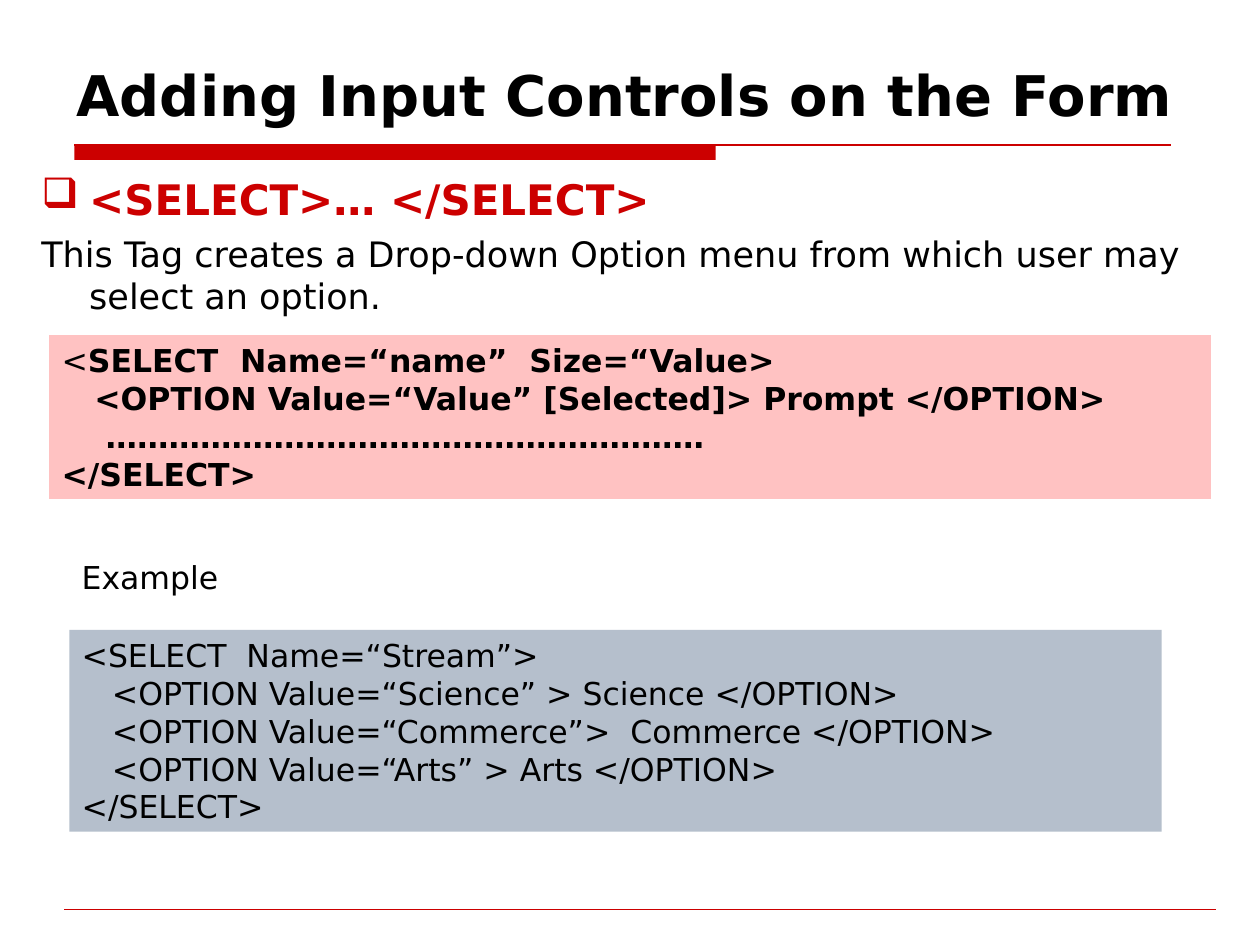
from dataclasses import dataclass
from typing import NamedTuple

from lxml.etree import SubElement
from pptx import Presentation
from pptx.dml.color import RGBColor
from pptx.enum.shapes import MSO_CONNECTOR, MSO_SHAPE
from pptx.enum.text import MSO_ANCHOR, MSO_AUTO_SIZE, PP_ALIGN
from pptx.oxml.ns import qn
from pptx.util import Inches, Pt


@dataclass(frozen=True)
class Theme:
    font: str = "DejaVu Sans"
    ink: str = "000000"
    accent: str = "CC0000"
    syntax_fill: str = "FFC2C2"
    example_fill: str = "B5BFCC"
    title: int = 32
    heading: int = 24
    body: int = 20
    code: int = 18


THEME = Theme()
COLS, ROWS = 100, 75
prs = Presentation()
prs.slide_width, prs.slide_height = Inches(10), Inches(7.5)
COL, ROW = prs.slide_width / COLS, prs.slide_height / ROWS


class Box(NamedTuple):
    """Position and size in grid columns and rows."""
    col: float
    row: float
    cols: float
    rows: float

    def emu(self) -> tuple[int, ...]:
        units = (COL, ROW, COL, ROW)
        return tuple(round(n * unit) for n, unit in zip(self, units))


class Run(NamedTuple):
    text: str
    bold: bool = False


class Para(NamedTuple):
    """A paragraph; indent and hanging are in grid columns."""
    runs: list[Run]
    size: int = THEME.code
    color: str = THEME.ink
    indent: float = 0
    hanging: float = 0
    before: int = 0
    bullet: str = ""


def code(text: str, indent: float = 0, bold: bool = False) -> Para:
    return Para([Run(text, bold)], indent=indent)


def set_attrs(obj, values: dict) -> None:
    for name, value in values.items():
        setattr(obj, name, value)


def add_bullet(p_pr, char: str, color: str) -> None:
    bu_clr = SubElement(p_pr, qn("a:buClr"))
    SubElement(bu_clr, qn("a:srgbClr"), val=color)
    SubElement(p_pr, qn("a:buChar"), char=char)


def write(tf, paras: list[Para], anchor: MSO_ANCHOR, grow: bool) -> None:
    fit = MSO_AUTO_SIZE.SHAPE_TO_FIT_TEXT if grow else MSO_AUTO_SIZE.NONE
    set_attrs(tf, {"word_wrap": True, "vertical_anchor": anchor, "auto_size": fit})
    for i, para in enumerate(paras):
        p = tf.add_paragraph() if i else tf.paragraphs[0]
        set_attrs(p, {"alignment": PP_ALIGN.LEFT, "space_before": Pt(para.before)})
        p_pr = p._p.get_or_add_pPr()
        p_pr.set("marL", str(round(para.indent * COL)))
        p_pr.set("indent", str(round(-para.hanging * COL)))
        if para.bullet:
            add_bullet(p_pr, para.bullet, para.color)
        for run in para.runs:
            r = p.add_run()
            r.text = run.text
            set_attrs(r.font, {"name": THEME.font, "size": Pt(para.size), "bold": run.bold})
            r.font.color.rgb = RGBColor.from_string(para.color)


def add_text(s, box: Box, paras: list[Para], anchor=MSO_ANCHOR.TOP, grow=False) -> None:
    write(s.shapes.add_textbox(*box.emu()).text_frame, paras, anchor, grow)


def add_panel(s, box: Box, fill: str, paras: list[Para] | None = None) -> None:
    sp = s.shapes.add_shape(MSO_SHAPE.RECTANGLE, *box.emu())
    sp.shadow.inherit = False
    sp.fill.solid()
    sp.fill.fore_color.rgb = RGBColor.from_string(fill)
    sp.line.fill.background()
    if paras:
        write(sp.text_frame, paras, MSO_ANCHOR.TOP, grow=True)


def add_rule(s, col: float, row: float, cols: float, weight: float) -> None:
    x, y, w, _ = Box(col, row, cols, 0).emu()
    line = s.shapes.add_connector(MSO_CONNECTOR.STRAIGHT, x, y, x + w, y)
    line.line.color.rgb = RGBColor.from_string(THEME.accent)
    line.line.width = Pt(weight)
    SubElement(line._element.spPr, qn("a:effectLst"))


TITLE = [Para([Run("Adding Input Controls on the Form", True)], THEME.title)]
INTRO = [
    Para([Run("<SELECT>… </SELECT>", True)], THEME.heading, THEME.accent, 3.8, 3.8, 6, "❑"),
    Para([Run("This Tag creates a Drop-down Option menu from which user may select an option.")],
         THEME.body, indent=3.8, hanging=3.8, before=5),
]
SYNTAX = [
    Para([Run("<"), Run("SELECT  Name=“name”  Size=“Value>", True)]),
    code("<OPTION Value=“Value” [Selected]> Prompt </OPTION>", 2.6, True),
    code("…………………………………………………", 3.5, True),
    code("</SELECT>", bold=True),
]
OPTIONS = ["<OPTION Value=“Science” > Science </OPTION>",
           "<OPTION Value=“Commerce”>  Commerce </OPTION>",
           "<OPTION Value=“Arts” > Arts </OPTION>"]
EXAMPLE = [code("<SELECT  Name=“Stream”>"),
           *(code(option, 2.4) for option in OPTIONS),
           code("</SELECT>")]


def main() -> None:
    s = prs.slides.add_slide(prs.slide_layouts[6])
    add_panel(s, Box(5.9, 11.5, 50.9, 1.2), THEME.accent)
    add_rule(s, 5.9, 11.5, 87, 0.75)
    add_rule(s, 5.1, 72.2, 91.4, 0.25)
    add_text(s, Box(5.1, 3.6, 90, 7), TITLE, MSO_ANCHOR.BOTTOM)
    add_text(s, Box(2.3, 13.3, 95.3, 11.7), INTRO)
    add_panel(s, Box(3.9, 26.6, 92.2, 13), THEME.syntax_fill, SYNTAX)
    add_panel(s, Box(5.5, 50, 86.7, 16), THEME.example_fill, EXAMPLE)
    add_text(s, Box(5.5, 43.8, 20.3, 4), [code("Example")], grow=True)
    prs.save("out.pptx")


if __name__ == "__main__":
    main()
